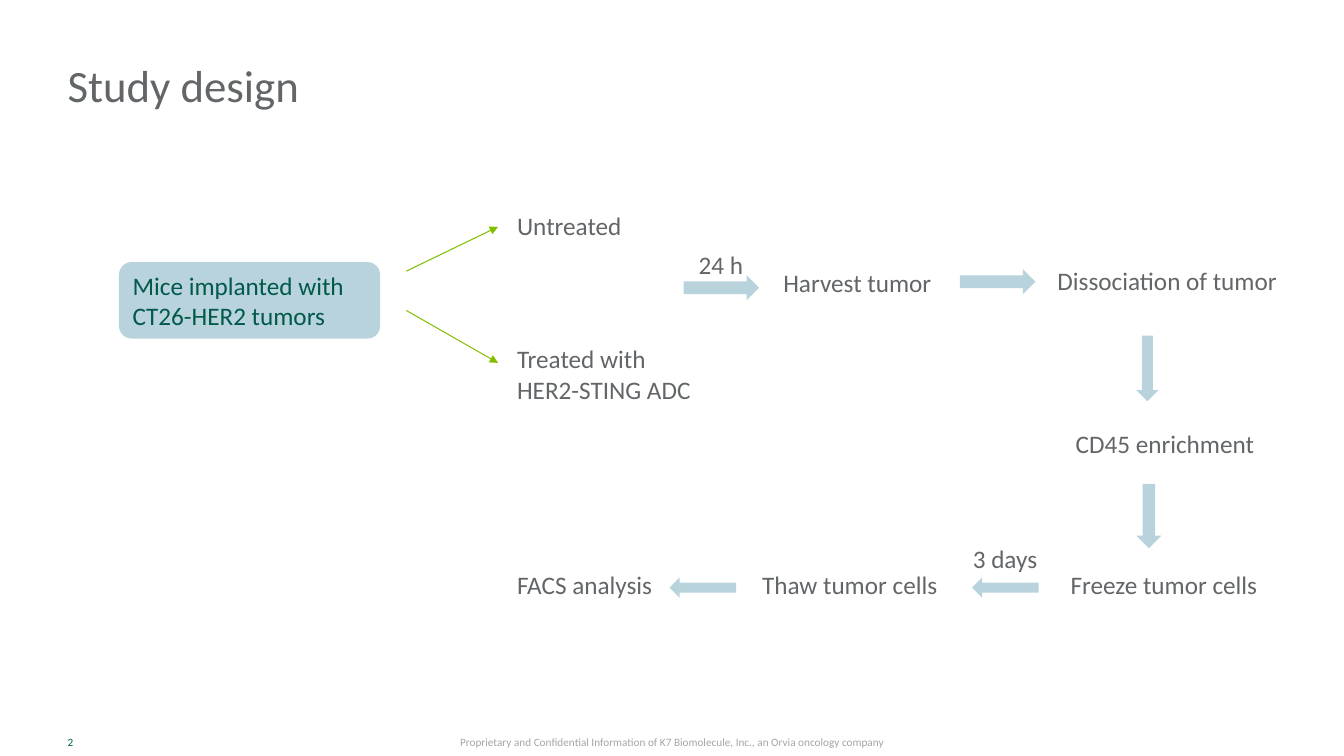
from pptx import Presentation
from pptx.dml.color import RGBColor
from pptx.enum.shapes import MSO_CONNECTOR, MSO_SHAPE
from pptx.enum.text import MSO_ANCHOR, MSO_AUTO_SIZE, PP_ALIGN
from pptx.oxml.ns import qn
from pptx.util import Pt
from lxml.etree import SubElement

PX = 9144
HUE = {"gray": "636669", "pale": "A3A5AA", "teal": "00594C",
       "blue": "B9D3DC", "lime": "83BD00"}


def emu(*nums):
    return [n * PX for n in nums]


def write(shape, text, size=18, hue="gray", align=PP_ALIGN.LEFT,
          anchor=MSO_ANCHOR.TOP, wrap=True, fit=MSO_AUTO_SIZE.NONE,
          left=10, right=10, lead=None):
    frame = shape.text_frame
    frame.word_wrap = wrap
    frame.auto_size = fit
    frame.vertical_anchor = anchor
    frame.margin_left, frame.margin_right = emu(left, right)
    frame.margin_top, frame.margin_bottom = emu(5, 5)
    para = frame.paragraphs[0]
    para.alignment = align
    if lead:
        para.line_spacing = Pt(lead)
    run = para.add_run()
    run.text = text
    run.font.name = "Calibri"
    run.font.size = Pt(size)
    run.font.color.rgb = RGBColor.from_string(HUE[hue])


deck = Presentation()
deck.slide_width, deck.slide_height = emu(1333, 750)
slide = deck.slides.add_slide(deck.slide_layouts[5])
shapes = slide.shapes

title = shapes.title
title.left, title.top, title.width, title.height = emu(67, 0, 1054, 116)
write(title, "Study design", size=32, anchor=MSO_ANCHOR.BOTTOM, left=0, lead=36)

write(shapes.add_textbox(*emu(67, 722, 67, 28)), "2", size=8, hue="teal",
      anchor=MSO_ANCHOR.MIDDLE, left=0, right=0)
write(shapes.add_textbox(*emu(424, 722, 486, 28)),
      "Proprietary and Confidential Information of K7 Biomolecule, Inc., an Orvia oncology company",
      size=8, hue="pale", align=PP_ALIGN.CENTER, anchor=MSO_ANCHOR.MIDDLE)

RIGHT, DOWN = MSO_SHAPE.RIGHT_ARROW, MSO_SHAPE.DOWN_ARROW
blocks = [
    (MSO_SHAPE.ROUNDED_RECTANGLE, 118, 260, 259, 76, 0, "Mice implanted with CT26-HER2 tumors"),
    (RIGHT, 678, 273, 75, 25, 0, ""),
    (RIGHT, 952, 267, 75, 25, 0, ""),
    (DOWN, 1127, 333, 22, 65, 0, ""),
    (DOWN, 1127, 480, 25, 64, 0, ""),
    (RIGHT, 964, 573, 66, 20, 180, ""),
    (RIGHT, 664, 573, 66, 20, 180, ""),
]
for kind, x, y, w, h, turn, text in blocks:
    block = shapes.add_shape(kind, *emu(x, y, w, h))
    block.shadow.inherit = False
    block.fill.solid()
    block.fill.fore_color.rgb = RGBColor.from_string(HUE["blue"])
    block.line.fill.background()
    block.rotation = turn
    if text:
        write(block, text, hue="teal", anchor=MSO_ANCHOR.MIDDLE)

for start, end in [(269, 225), (308, 360)]:
    branch = shapes.add_connector(MSO_CONNECTOR.STRAIGHT, *emu(403, start, 494, end))
    branch.line.color.rgb = RGBColor.from_string(HUE["lime"])
    branch.line.width = Pt(0.75)
    SubElement(branch.line._get_or_add_ln(), qn("a:tailEnd"), type="triangle")
    SubElement(branch._element.spPr, qn("a:effectLst"))

labels = [
    ("Untreated", 503, 204, 125, 40),
    ("Treated with HER2-STING ADC", 503, 336, 206, 71),
    ("24 h", 683, 242, 65, 40),
    ("Harvest tumor", 767, 260, 169, 40),
    ("Dissociation of tumor", 1039, 258, 240, 40),
    ("CD45 enrichment", 1057, 420, 199, 40),
    ("Freeze tumor cells", 1052, 560, 208, 40),
    ("3 days", 955, 534, 85, 40),
    ("Thaw tumor cells", 746, 560, 196, 40),
    ("FACS analysis", 503, 560, 155, 40),
]
for text, x, y, w, h in labels:
    write(shapes.add_textbox(*emu(x, y, w, h)), text, wrap=h > 40,
          fit=MSO_AUTO_SIZE.SHAPE_TO_FIT_TEXT)

deck.save("out.pptx")
